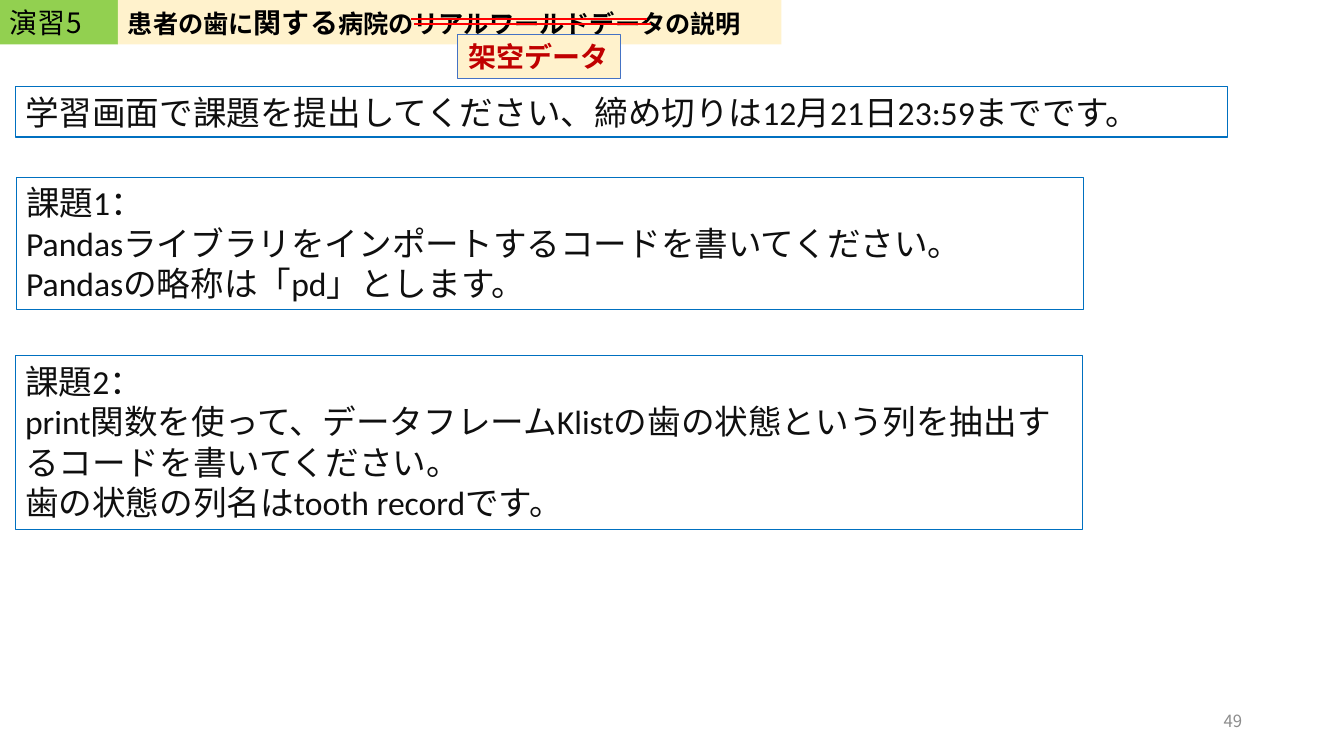
"""Build the exercise 5 slide: a struck-out title, a deadline and two tasks."""
import pptx
import pptx.util
import pptx.dml.color
import pptx.enum.shapes
import pptx.enum.text
import lxml.etree

PX = 9144
GOTHIC = "Noto Sans CJK JP"
BODY = "Calibri"
COLORS = {
    "green": "92D050", "cream": "FFF2CC", "border": "4472C4", "blue": "0070C0",
    "strike": "FF0000", "black": "000000", "ink": "0F0F0F", "red": "C00000", "gray": "8C8C8C",
}
ALIGN = pptx.enum.text.PP_ALIGN
ANCHOR = pptx.enum.text.MSO_ANCHOR


def color(name):
    return pptx.dml.color.RGBColor.from_string(COLORS[name])


def add_box(place, paragraphs, font, ink, fill=None, line=None, bold=False,
            align=ALIGN.LEFT, anchor=ANCHOR.TOP):
    box = page.shapes.add_shape(
        pptx.enum.shapes.MSO_SHAPE.RECTANGLE, *[value * PX for value in place])
    box.shadow.inherit = False
    if fill:
        box.fill.solid()
        box.fill.fore_color.rgb = color(fill)
    else:
        box.fill.background()
    if line:
        box.line.color.rgb = color(line)
        box.line.width = pptx.util.Pt(0.75)
    else:
        box.line.fill.background()
    frame = box.text_frame
    frame.word_wrap = True
    frame.vertical_anchor = anchor
    for index, runs in enumerate(paragraphs):
        para = frame.add_paragraph() if index else frame.paragraphs[0]
        para.alignment = align
        for text, size in runs:
            span = para.add_run()
            span.text = text
            span.font.size = pptx.util.Pt(size)
            span.font.bold = bold
            span.font.name = font
            span.font.color.rgb = color(ink)
            latin = span.font._element.find(pptx.oxml.ns.qn("a:latin"))
            east = lxml.etree.Element(pptx.oxml.ns.qn("a:ea"), typeface=font)
            latin.addnext(east)


deck = pptx.Presentation()
deck.slide_width, deck.slide_height = 1333 * PX, 750 * PX
page = deck.slides.add_slide(deck.slide_layouts[6])

add_box((942, 695, 300, 40), [[("49", 12)]], GOTHIC, "gray",
        align=ALIGN.RIGHT, anchor=ANCHOR.MIDDLE)
add_box((0, 0, 117, 44), [[("演習5", 20)]], GOTHIC, "black", fill="green",
        anchor=ANCHOR.MIDDLE)
title = [("患者の歯に", 18), ("関する", 20), ("病院のリアルワールドデータの説明", 18)]
add_box((117, 0, 658, 44), [title], GOTHIC, "black", fill="cream", bold=True,
        anchor=ANCHOR.MIDDLE)
add_box((454, 34, 161, 44), [[("架空データ", 20)]], GOTHIC, "red", fill="cream",
        line="border", bold=True, align=ALIGN.CENTER, anchor=ANCHOR.MIDDLE)

for left, right, top in [(408, 642, 19), (411, 646, 24)]:
    strike = page.shapes.add_connector(
        pptx.enum.shapes.MSO_CONNECTOR.STRAIGHT, left * PX, top * PX, right * PX, top * PX)
    strike.line.color.rgb = color("strike")
    strike.line.width = pptx.util.Pt(1.5)
    lxml.etree.SubElement(strike._element.spPr, pptx.oxml.ns.qn("a:effectLst"))

notices = [
    ((16, 176, 1059, 131), [
        "課題1：",
        "Pandasライブラリをインポートするコードを書いてください。",
        "Pandasの略称は「pd」とします。",
    ]),
    ((15, 353, 1059, 172), [
        "課題2：",
        "print関数を使って、データフレームKlistの歯の状態という列を抽出するコードを書いてください。",
        "歯の状態の列名はtooth recordです。",
    ]),
    ((15, 86, 1203, 50), [
        "学習画面で課題を提出してください、締め切りは12月21日23:59までです。",
    ]),
]
for place, lines in notices:
    add_box(place, [[(text, 24)] for text in lines], BODY, "ink", line="blue")

deck.save("out.pptx")
